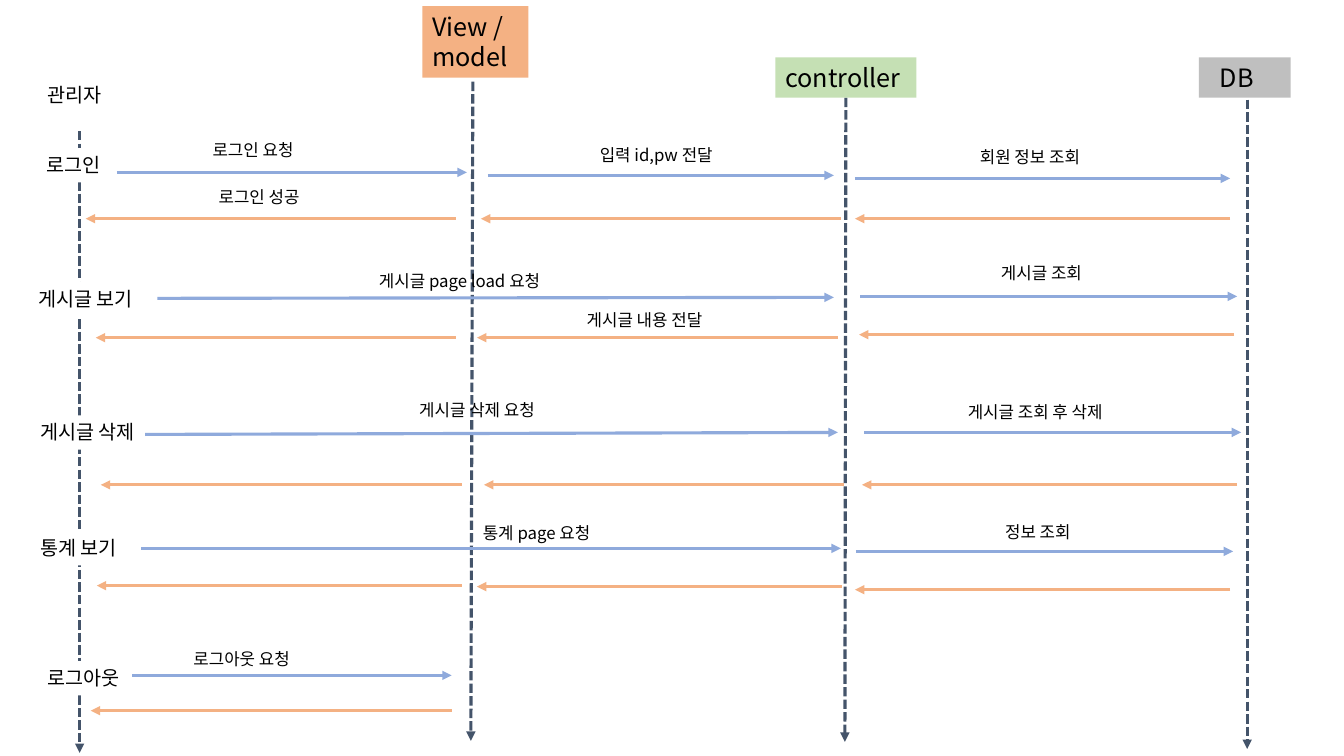
from pptx import Presentation
from pptx.dml.color import RGBColor
from pptx.enum.dml import MSO_LINE
from pptx.enum.shapes import MSO_CONNECTOR
from pptx.enum.text import MSO_ANCHOR
from pptx.oxml.ns import qn
from pptx.util import Inches, Pt
from lxml import etree

STRAIGHT = MSO_CONNECTOR.STRAIGHT
DASH = MSO_LINE.SQUARE_DOT
TOP = MSO_ANCHOR.TOP
FONT = "Noto Sans CJK KR"
HEX = {"ink": "000000", "white": "FFFFFF", "life": "44546A", "call": "8FAADC",
       "reply": "F4B183", "view": "F4B183", "control": "C5E0B4", "data": "BFBFBF"}

deck = Presentation()
deck.slide_width, deck.slide_height = Inches(13.33), Inches(7.5)
slide = deck.slides.add_slide(deck.slide_layouts[6])


def add_text(words, left, top, width, height, size=12, fill=None, inset=0.1):
    box = slide.shapes.add_textbox(*map(Inches, (left, top, width, height)))
    if fill:
        box.fill.solid()
        box.fill.fore_color.rgb = RGBColor.from_string(HEX[fill])
    frame = box.text_frame
    frame.word_wrap = True
    frame.vertical_anchor = TOP
    frame.margin_left = Inches(inset)
    run = frame.paragraphs[0].add_run()
    run.text = words
    run.font.size = Pt(size)
    run.font.name = FONT
    run.font.color.rgb = RGBColor.from_string(HEX["ink"])
    east = etree.SubElement(run._r.get_or_add_rPr(), qn("a:ea"))
    east.set("typeface", FONT)


def add_arrow(x1, y1, x2, y2, color, dash=None):
    arrow = slide.shapes.add_connector(STRAIGHT, *map(Inches, (x1, y1, x2, y2)))
    arrow.line.width = Pt(2.25)
    arrow.line.color.rgb = RGBColor.from_string(HEX[color])
    if dash:
        arrow.line.dash_style = dash
    tail = etree.SubElement(arrow.line._get_or_add_ln(), qn("a:tailEnd"))
    tail.set("type", "triangle")
    etree.SubElement(arrow._element.spPr, qn("a:effectLst"))


# Lifelines
for x1, y1, x2, y2 in [(0.79, 1.3, 0.79, 7.47), (4.69, 0.81, 4.67, 7.35),
                       (8.39, 0.72, 8.38, 7.36), (12.37, 0.74, 12.37, 7.43)]:
    add_arrow(x1, y1, x2, y2, "life", DASH)

# Admin and the steps on the first lifeline
for words, left, top, width, inset in [
        ("관리자", 0.37, 0.77, 1.12, 0.1),
        ("로그인", 0.36, 1.47, 1.12, 0.1),
        ("게시글 보기", 0.23, 2.8, 1.33, 0.15),
        ("게시글 삭제", 0.3, 4.12, 1.49, 0.1),
        ("통계 보기", 0.3, 5.27, 1.06, 0.1),
        ("로그아웃", 0.37, 6.56, 1.12, 0.1)]:
    add_text(words, left, top, width, 0.34, size=14, fill="white", inset=inset)

# Participants
for words, left, top, width, height, fill, inset in [
        ("View /model", 4.19, 0.06, 1.05, 0.71, "view", 0.1),
        ("controller", 7.69, 0.57, 1.4, 0.4, "control", 0.1),
        ("DB", 11.89, 0.57, 0.91, 0.4, "data", 0.21)]:
    add_text(words, left, top, width, height, size=18, fill=fill, inset=inset)

# Calls: start x, start y, end x, end y
for call in [(1.16, 1.71, 4.63, 1.71), (4.84, 1.74, 8.27, 1.74), (8.48, 1.77, 12.2, 1.77),
             (1.56, 2.96, 8.27, 2.95), (8.53, 2.94, 12.27, 2.94),
             (1.44, 4.31, 8.31, 4.29), (8.57, 4.29, 12.31, 4.29),
             (1.4, 5.44, 8.34, 5.44), (8.49, 5.47, 12.23, 5.47),
             (1.31, 6.7, 4.48, 6.7)]:
    add_arrow(*call, "call")

# Replies: start x, end x, y
for start, end, y in [(12.2, 8.48, 2.17), (8.34, 4.77, 2.17), (4.52, 0.85, 2.17),
                      (12.24, 8.52, 3.32), (8.31, 4.73, 3.35), (4.52, 0.95, 3.35),
                      (12.27, 8.55, 4.81), (8.37, 4.8, 4.81), (4.58, 1, 4.81),
                      (12.2, 8.48, 5.85), (8.35, 4.73, 5.82), (4.58, 0.96, 5.81),
                      (4.48, 0.9, 7.05)]:
    add_arrow(start, y, end, y, "reply")

# Message labels
for words, left, top, width in [
        ("로그인 요청", 2.01, 1.34, 1.36),
        ("입력 id,pw 전달", 5.85, 1.39, 1.78),
        ("회원 정보 조회", 9.62, 1.41, 1.47),
        ("로그인 성공", 2.07, 1.8, 1.14),
        ("게시글 page load 요청", 3.66, 2.64, 1.94),
        ("게시글 조회", 9.83, 2.56, 1.17),
        ("게시글 내용 전달", 5.72, 3.02, 1.68),
        ("게시글 삭제 요청", 4.06, 3.92, 1.7),
        ("게시글 조회 후 삭제", 9.5, 3.94, 1.72),
        ("통계 page 요청", 4.69, 5.14, 1.75),
        ("정보 조회", 9.87, 5.13, 1.72),
        ("로그아웃 요청", 1.82, 6.39, 1.94)]:
    add_text(words, left, top, width, 0.3)

deck.save("out.pptx")
